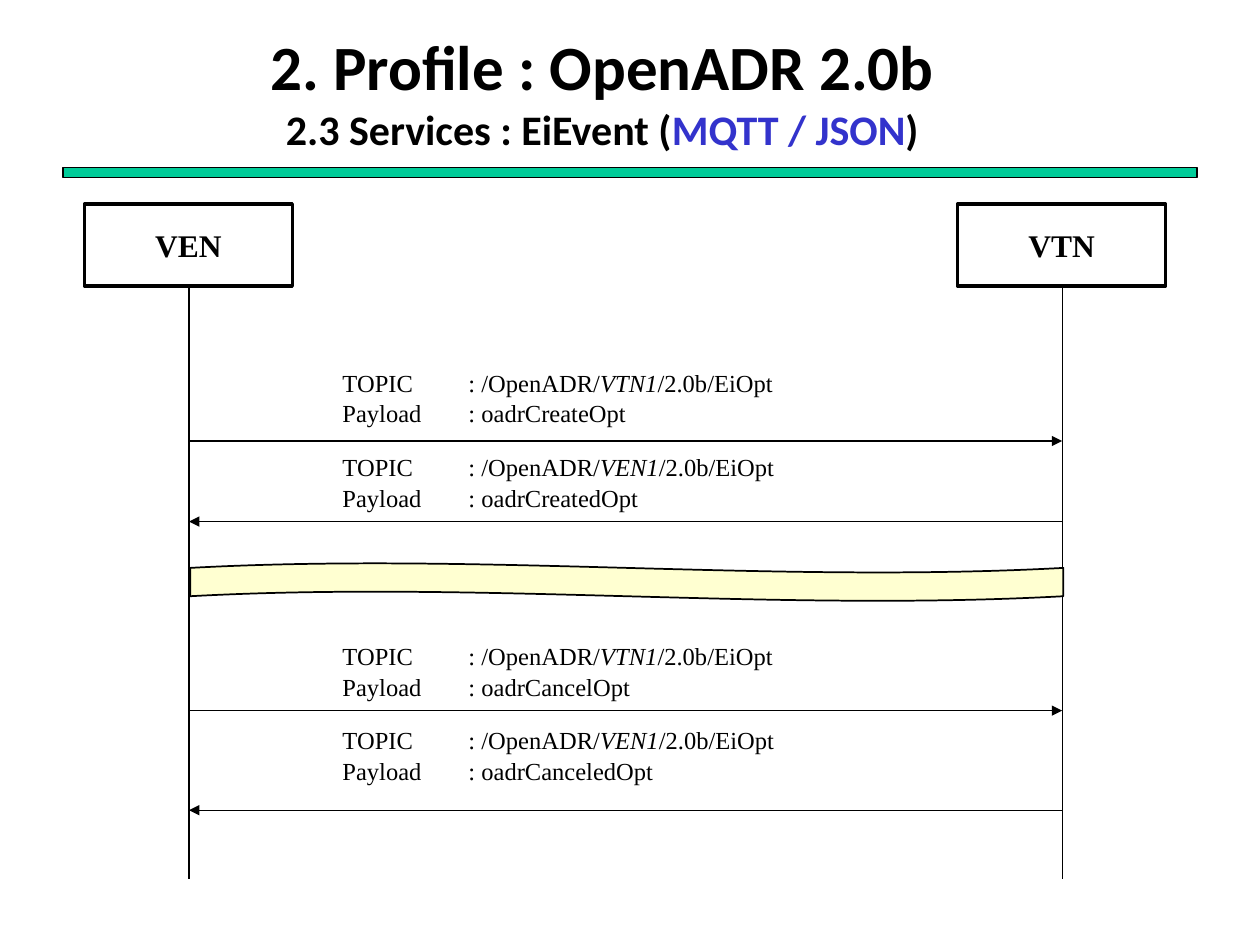
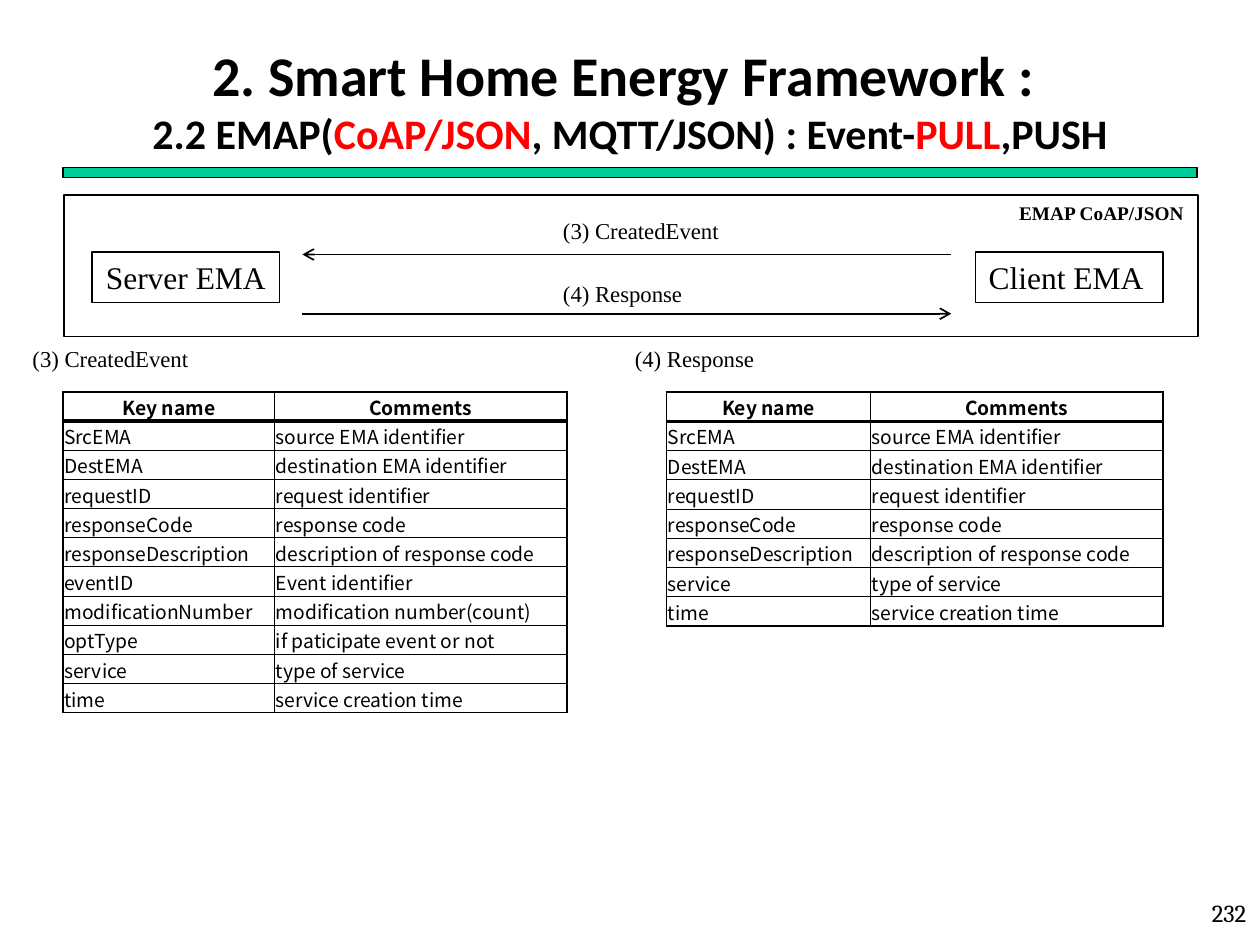
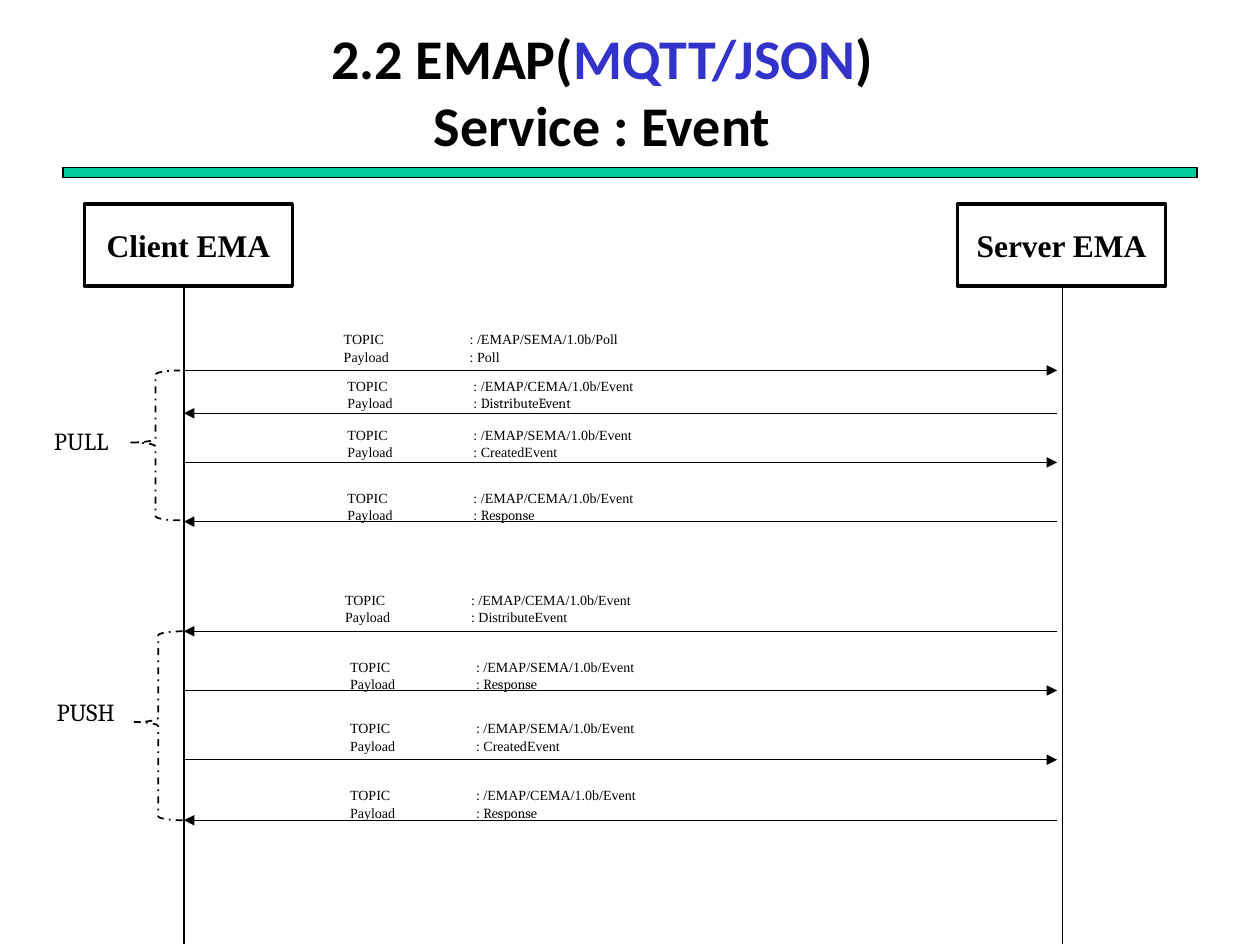
from collections import namedtuple
from dataclasses import dataclass

from lxml.etree import SubElement
from pptx import Presentation
from pptx.dml.color import RGBColor
from pptx.enum.dml import MSO_LINE
from pptx.enum.shapes import MSO_CONNECTOR, MSO_SHAPE as Shape
from pptx.enum.text import MSO_ANCHOR as Anchor, PP_ALIGN as Align
from pptx.oxml.ns import qn
from pptx.util import Inches, Pt


@dataclass(frozen=True)
class Theme:
    black: str = "000000"
    white: str = "FFFFFF"
    band: str = "00CC99"
    wave: str = "FFFFD1"
    blue: str = "3333CC"
    red: str = "FF0000"
    title_font: str = "Calibri"
    body_font: str = "Times New Roman"
    side_font: str = "Cambria"
    table_font: str = "Noto Sans CJK KR"
    title_large: int = 36
    title: int = 32
    subtitle: int = 24
    party: int = 18
    note: int = 14
    caption: int = 13
    small: int = 11
    tiny: int = 8
    hairline: float = 0.5
    thin: float = 0.75
    medium: float = 1
    thick: float = 2


THEME = Theme()
Box = namedtuple("Box", "left top width height")
Span = namedtuple("Span", "text size color font italic", defaults=(None, None, None, False))
# Positions are measured from the top left corner of the diagram
Message = namedtuple("Message", "y rightward label_left label_top topic payload payload_font",
                     defaults=(THEME.body_font,))
Diagram = namedtuple("Diagram", "parties addresses prefix italic size line_left line_top line_right arrow_right")


def lengths(box):
    return [Inches(value) for value in box]


def inside(box, left, top, width, height):
    return Box(box.left + left, box.top + top, width, height)


def fill_para(para, spans, font, size, bold=False, align=Align.LEFT):
    para.alignment = align
    for item in spans:
        for index, piece in enumerate(item.text.split("\n")):
            if index:
                para.add_line_break()
            if not piece:
                continue
            span = para.add_run()
            span.text = piece
            span.font.name = item.font or font
            span.font.size = Pt(item.size or size)
            span.font.bold = bold
            span.font.italic = item.italic
            span.font.color.rgb = RGBColor.from_string(item.color or THEME.black)


def add_text(page, box, text, size, font=THEME.body_font, bold=False, align=Align.LEFT):
    frame = page.shapes.add_textbox(*lengths(box)).text_frame
    frame.word_wrap = True
    fill_para(frame.paragraphs[0], [Span(text)], font, size, bold, align)


def add_shape(page, kind, box, fill=None, width=THEME.thin):
    shape = page.shapes.add_shape(kind, *lengths(box))
    shape.shadow.inherit = False
    if fill:
        shape.fill.solid()
        shape.fill.fore_color.rgb = RGBColor.from_string(fill)
    else:
        shape.fill.background()
    shape.line.color.rgb = RGBColor.from_string(THEME.black)
    shape.line.width = Pt(width)
    return shape


def add_party(page, box, name, fill=None, width=THEME.thin, bold=False):
    frame = add_shape(page, Shape.RECTANGLE, box, fill, width).text_frame
    frame.word_wrap = False
    frame.vertical_anchor = Anchor.MIDDLE
    fill_para(frame.paragraphs[0], [Span(name)], THEME.body_font, THEME.party, bold, Align.CENTER)


def add_line(page, start, end, width=THEME.thin, arrow=None):
    line = page.shapes.add_connector(MSO_CONNECTOR.STRAIGHT, *lengths(start + end))
    line.line.color.rgb = RGBColor.from_string(THEME.black)
    line.line.width = Pt(width)
    if arrow:
        SubElement(line.line._get_or_add_ln(), qn("a:tailEnd"), type=arrow)
    SubElement(line._element.spPr, qn("a:effectLst"))


def add_heading(page, box, spans, size):
    """Title text and the green band below it."""
    frame = page.shapes.add_textbox(*lengths(box)).text_frame
    frame.word_wrap = True
    frame.vertical_anchor = Anchor.MIDDLE
    fill_para(frame.paragraphs[0], spans, THEME.title_font, size, True, Align.CENTER)
    add_shape(page, Shape.RECTANGLE, Box(0.5, 1.33, 9, 0.08), THEME.band)


# Sequence diagrams

def add_label(page, box, rows, size):
    frame = page.shapes.add_textbox(*lengths(box)).text_frame
    frame.word_wrap = True
    for index, spans in enumerate(rows):
        para = frame.add_paragraph() if index else frame.paragraphs[0]
        tabs = SubElement(para._p.get_or_add_pPr(), qn("a:tabLst"))
        SubElement(tabs, qn("a:tab"), pos=str(Inches(1)), algn="l")
        para.line_spacing = 1.04
        fill_para(para, spans, THEME.body_font, size)


def add_sequence(page, box, diagram, messages):
    # Parties and lifelines
    party_width, party_height = 1.65, 0.65
    party_lefts = (0, box.width - party_width)
    for left, name in zip(party_lefts, diagram.parties):
        add_party(page, inside(box, left, 0, party_width, party_height), name,
                  width=THEME.thick, bold=True)
    left = box.left + diagram.line_left
    right = box.left + diagram.line_right
    bottom = box.top + box.height
    add_line(page, (left, box.top + diagram.line_top), (left, bottom))
    add_line(page, (right, box.top + party_height), (right, bottom))

    # Messages, each addressed to the party its arrow points at
    for message in messages:
        y = box.top + message.y
        ends = [(left, y), (box.left + diagram.arrow_right, y)]
        if not message.rightward:
            ends.reverse()
        add_line(page, *ends, arrow="triangle")
        address = diagram.addresses[message.rightward]
        rows = [[Span(f"TOPIC\t: {diagram.prefix}"), Span(address, italic=diagram.italic),
                 Span(message.topic)],
                [Span("Payload\t: "), Span(message.payload, font=message.payload_font)]]
        add_label(page, inside(box, message.label_left, message.label_top, 3.7, 0.57),
                  rows, diagram.size)


def add_group(page, box, name, name_box):
    """Dash-dotted brace with the name of the message group."""
    brace = add_shape(page, Shape.RIGHT_BRACE, box, width=THEME.medium)
    brace.rotation = 180
    brace.adjustments[0] = 0.083
    brace.adjustments[1] = 0.52
    brace.line.dash_style = MSO_LINE.DASH_DOT
    add_text(page, name_box, name, THEME.note, THEME.side_font)


# Exchange panel and key tables

def add_exchange(page, box, title, parties, captions):
    add_shape(page, Shape.RECTANGLE, box, THEME.white, THEME.medium)
    for left, name in zip((0.22, 7.23), parties):
        add_party(page, inside(box, left, 0.45, 1.49, 0.4), name, THEME.white)
    near, far = box.left + 1.89, box.left + 7.04
    for (start, end), y, caption_top, caption in zip(
            ((far, near), (near, far)), (0.47, 0.94), (0.12, 0.62), captions):
        add_line(page, (start, box.top + y), (end, box.top + y), THEME.medium, "arrow")
        add_text(page, inside(box, 3.86, caption_top, 1.6, 0.32), caption, THEME.caption)
    add_text(page, inside(box, 7.48, 0, 1.55, 0.29), title, THEME.small, bold=True)


def add_border(cell, side, width):
    line = SubElement(cell._tc.get_or_add_tcPr(), qn(f"a:{side}"), w=str(Pt(width)))
    fill = SubElement(line, qn("a:solidFill"))
    SubElement(fill, qn("a:srgbClr"), val=THEME.black)


def add_key_table(page, box, key_width, entries):
    rows = [("Key name", "Comments"), *entries]
    table = page.shapes.add_table(len(rows), 2, *lengths(box)).table
    table.first_row = table.horz_banding = False
    table.columns[0].width = Inches(key_width)
    table.columns[1].width = Inches(box.width - key_width)
    last = len(rows) - 1
    for r, texts in enumerate(rows):
        table.rows[r].height = Inches(box.height / len(rows))
        header = r == 0
        for c, text in enumerate(texts):
            cell = table.cell(r, c)
            cell.margin_left = cell.margin_right = cell.margin_top = Inches(0.01)
            cell.margin_bottom = 0
            cell.vertical_anchor = Anchor.MIDDLE
            fill_para(cell.text_frame.paragraphs[0], [Span(text)], THEME.table_font, THEME.small,
                      header, Align.CENTER if header else Align.LEFT)
            # Outer frame medium, header rule thick, the rest hairlines
            top = {0: THEME.medium, 1: THEME.thick}.get(r, THEME.hairline)
            bottom = {0: THEME.thick, last: THEME.medium}.get(r, THEME.hairline)
            add_border(cell, "lnL", THEME.hairline if c else THEME.medium)
            add_border(cell, "lnR", THEME.medium if c else THEME.hairline)
            add_border(cell, "lnT", top)
            add_border(cell, "lnB", bottom)
            cell.fill.background()


# Pages

TITLE_BOX = Box(0.03, 0.26, 9.5, 0.92)


def build_opt_page(page):
    add_heading(page, TITLE_BOX, [
        Span("2. Profile : OpenADR 2.0b\n"),
        Span("2.3 Services : EiEvent (", THEME.subtitle),
        Span("MQTT / JSON", THEME.subtitle, THEME.blue),
        Span(")", THEME.subtitle)], THEME.title_large)
    box = Box(0.67, 1.62, 8.58, 5.36)
    diagram = Diagram(("VEN", "VTN"), ("VEN1", "VTN1"), "/OpenADR/", True, THEME.note,
                      0.83, 0.65, 7.76, 7.76)
    topic = "/2.0b/EiOpt"
    add_sequence(page, box, diagram, [
        Message(1.88, True, 1.95, 1.24, topic, "oadrCreateOpt"),
        Message(2.52, False, 1.95, 1.91, topic, "oadrCreatedOpt"),
        Message(4.02, True, 1.95, 3.41, topic, "oadrCancelOpt"),
        Message(4.81, False, 1.95, 4.08, topic, "oadrCanceledOpt")])
    # Lapse of time between the two exchanges
    add_shape(page, Shape.WAVE, inside(box, 0.84, 2.85, 6.93, 0.3), THEME.wave, THEME.medium)


def build_key_page(page):
    add_heading(page, Box(0.5, 0.33, 9, 0.92), [
        Span("2. Smart Home Energy Framework : \n"),
        Span("2.2 EMAP(", THEME.subtitle),
        Span("CoAP/JSON", THEME.subtitle, THEME.red),
        Span(", MQTT/JSON) : Event-", THEME.subtitle),
        Span("PULL", THEME.subtitle, THEME.red),
        Span(",PUSH", THEME.subtitle)], THEME.title)
    captions = ("(3) CreatedEvent", "(4) Response")
    add_exchange(page, Box(0.51, 1.55, 9, 1.12), "EMAP CoAP/JSON",
                 ("Server EMA", "Client EMA "), captions)

    # Both messages share their first and last keys
    opening = [("SrcEMA", "source EMA identifier"),
               ("DestEMA", "destination EMA identifier"),
               ("requestID", "request identifier"),
               ("responseCode", "response code"),
               ("responseDescription", "description of response code")]
    event = [("eventID", "Event identifier"),
             ("modificationNumber", "modification number(count)"),
             ("optType", "if paticipate event or not")]
    closing = [("service", "type of service"), ("time", "service creation time")]
    for left, caption in zip((0.16, 4.94), captions):
        add_text(page, Box(left, 2.69, 1.6, 0.32), caption, THEME.caption)
    add_key_table(page, Box(0.5, 3.11, 4, 2.55), 1.68, opening + event + closing)
    add_key_table(page, Box(5.29, 3.11, 3.94, 1.86), 1.62, opening + closing)
    add_text(page, Box(7.91, 7.08, 2.08, 0.42), "232", THEME.note, THEME.side_font,
             align=Align.RIGHT)


def build_event_page(page):
    add_heading(page, TITLE_BOX, [
        Span("2.2 EMAP("), Span("MQTT/JSON", color=THEME.blue),
        Span(")\nService : Event")], THEME.title)
    box = Box(0.67, 1.62, 8.58, 5.87)
    diagram = Diagram(("Client EMA", "Server EMA"), ("CEMA", "SEMA"), "/EMAP/", False, THEME.tiny,
                      0.79, 0.63, 7.76, 7.72)
    topic, side = "/1.0b/Event", THEME.side_font
    add_sequence(page, box, diagram, [
        Message(1.32, True, 1.96, 0.95, "/1.0b/Poll", "Poll"),
        Message(1.66, False, 1.99, 1.32, topic, "DistributeEvent", side),
        Message(2.05, True, 1.99, 1.71, topic, "CreatedEvent"),
        Message(2.52, False, 1.99, 2.21, topic, "Response", side),
        Message(3.39, False, 1.97, 3.02, topic, "DistributeEvent"),
        Message(3.86, True, 2.01, 3.55, topic, "Response", side),
        Message(4.41, True, 2.01, 4.04, topic, "CreatedEvent"),
        Message(4.89, False, 2.01, 4.57, topic, "Response", side)])
    add_group(page, inside(box, 0.37, 1.32, 0.39, 1.19), "PULL", inside(box, -0.34, 1.71, 0.75, 0.34))
    add_group(page, inside(box, 0.39, 3.39, 0.39, 1.5), "PUSH", inside(box, -0.32, 3.86, 0.75, 0.34))


def main():
    deck = Presentation()
    deck.slide_width, deck.slide_height = Inches(10), Inches(7.5)
    for build in (build_opt_page, build_key_page, build_event_page):
        build(deck.slides.add_slide(deck.slide_layouts[6]))
    deck.save("out.pptx")


if __name__ == "__main__":
    main()
